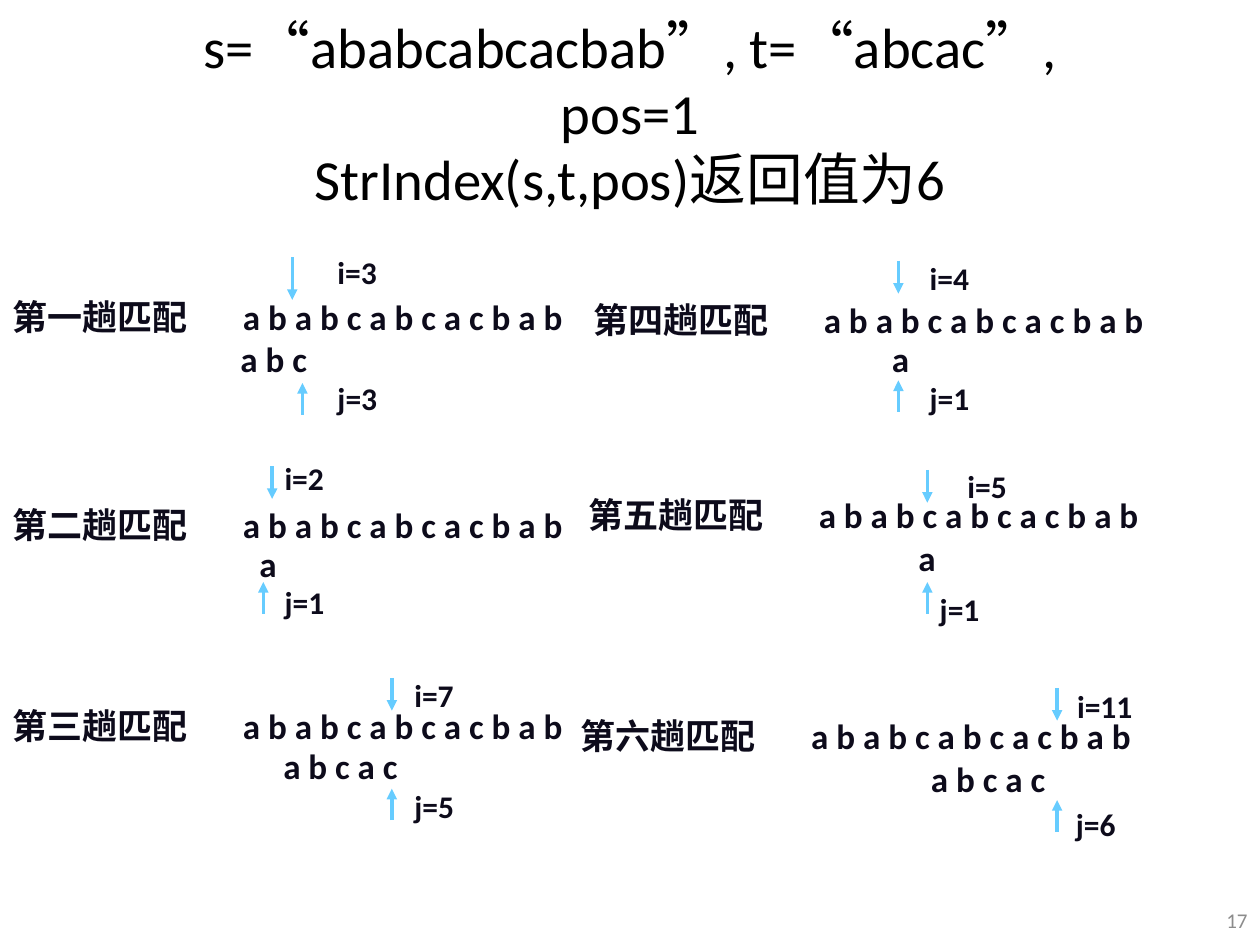
import dataclasses

import pptx
import pptx.dml.color
import pptx.enum.dml
import pptx.enum.lang
import pptx.enum.shapes
import pptx.enum.text
import pptx.oxml
import pptx.oxml.ns
import pptx.util

ALIGN = pptx.enum.text.PP_ALIGN
ANCHOR = pptx.enum.text.MSO_ANCHOR


@dataclasses.dataclass(frozen=True)
class Theme:
    font: str = "Calibri"
    title_color: str = "000000"
    ink: str = "0D0B1B"
    arrow: str = "66CCFF"
    muted: str = "8C8C8C"
    title_size: float = 32.4
    letter_size: float = 20
    index_size: float = 18
    number_size: float = 12
    arrow_width: float = 2


@dataclasses.dataclass(frozen=True)
class MatchPass:
    label: str
    row: tuple
    pattern: str
    pattern_at: tuple
    i: int
    i_at: tuple
    i_arrow: tuple
    j: int
    j_at: tuple
    j_arrow: tuple
    i_length: float = 0.26


TEXT = "a b a b c a b c a c b a b"
PASSES = [
    MatchPass("第一趟匹配", (0, 2.3), "a b c", (1.81, 2.63),
              3, (2.58, 1.96), (2.32, 2.04), 3, (2.58, 2.96), (2.4, 3.04), 0.34),
    MatchPass("第二趟匹配", (0, 3.95), "a", (1.96, 4.26),
              2, (2.16, 3.59), (2.16, 3.7), 1, (2.16, 4.58), (2.09, 4.62)),
    MatchPass("第三趟匹配", (0, 5.54), "a b c a c", (2.15, 5.86),
              7, (3.19, 5.32), (3.11, 5.38), 5, (3.19, 6.2), (3.11, 6.26)),
    MatchPass("第四趟匹配", (4.61, 2.32), "a", (6.98, 2.63),
              4, (7.28, 2.01), (7.13, 2.07), 1, (7.28, 2.96), (7.13, 3.02)),
    MatchPass("第五趟匹配", (4.57, 3.87), "a", (7.19, 4.21),
              5, (7.58, 3.66), (7.36, 3.73), 1, (7.36, 4.63), (7.36, 4.62)),
    MatchPass("第六趟匹配", (4.51, 5.62), "a b c a c", (7.29, 5.96),
              11, (8.45, 5.4), (8.39, 5.46), 6, (8.44, 6.34), (8.39, 6.35)),
]


def write(paragraph, text, *, theme, size, color, bold=False, align=ALIGN.LEFT,
          language=None):
    paragraph.alignment = align
    for index, line in enumerate(text.split("\n")):
        if index:
            paragraph.add_line_break()
        span = paragraph.add_run()
        span.text = line
        span.font.name = theme.font
        span.font.size = pptx.util.Pt(size)
        span.font.bold = bold
        span.font.color.rgb = pptx.dml.color.RGBColor.from_string(color)
        if language is not None:
            span.font.language_id = language


class SlideBuilder:
    COLUMNS = 10
    ROWS = 7.5

    def __init__(self, deck, theme):
        self.deck = deck
        self.theme = theme
        self.slide = deck.slides.add_slide(deck.slide_layouts[5])

    def x(self, columns):
        return round(self.deck.slide_width * columns / self.COLUMNS)

    def y(self, rows):
        return round(self.deck.slide_height * rows / self.ROWS)

    def title(self, text, left, top, width, height, inset):
        box = self.slide.shapes.title
        box.left, box.top = self.x(left), self.y(top)
        box.width, box.height = self.x(width), self.y(height)
        frame = box.text_frame
        frame.word_wrap = True
        frame.auto_size = pptx.enum.text.MSO_AUTO_SIZE.NONE
        frame.vertical_anchor = ANCHOR.MIDDLE
        frame.margin_left = frame.margin_right = self.x(inset)
        para = frame.paragraphs[0]
        para.line_spacing = 0.97
        write(para, text, theme=self.theme, size=self.theme.title_size,
              color=self.theme.title_color, align=ALIGN.CENTER,
              language=pptx.enum.lang.MSO_LANGUAGE_ID.SIMPLIFIED_CHINESE)

    def text(self, shapes, text, at, width, height, *, size, color, bold=True,
             align=ALIGN.LEFT, anchor=ANCHOR.TOP, tab=None):
        box = shapes.add_textbox(self.x(at[0]), self.y(at[1]),
                                 self.x(width), self.y(height))
        frame = box.text_frame
        frame.word_wrap = True
        frame.vertical_anchor = anchor
        para = frame.paragraphs[0]
        if tab is not None:
            stops = pptx.oxml.parse_xml(
                f'<a:tabLst {pptx.oxml.ns.nsdecls("a")}>'
                f'<a:tab pos="{self.x(tab)}" algn="l"/></a:tabLst>')
            para._p.get_or_add_pPr().append(stops)
        write(para, text, theme=self.theme, size=size, color=color, bold=bold,
              align=align)

    def arrow(self, shapes, column, start, end):
        line = shapes.add_connector(
            pptx.enum.shapes.MSO_CONNECTOR.STRAIGHT,
            self.x(column), self.y(start), self.x(column), self.y(end))
        line.line.color.rgb = pptx.dml.color.RGBColor.from_string(self.theme.arrow)
        line.line.width = pptx.util.Pt(self.theme.arrow_width)
        names = pptx.oxml.ns.nsdecls("a")
        line.line._get_or_add_ln().append(
            pptx.oxml.parse_xml(f'<a:tailEnd {names} type="triangle"/>'))
        line._element.spPr.append(pptx.oxml.parse_xml(f"<a:effectLst {names}/>"))

    def match_pass(self, step):
        shapes = self.slide.shapes.add_group_shape().shapes
        letters = {"size": self.theme.letter_size, "color": self.theme.ink}
        indices = {"size": self.theme.index_size, "color": self.theme.ink}
        self.text(shapes, f"{step.label}\t{TEXT}", step.row, 6.32, 0.43,
                  tab=1.83, **letters)
        self.text(shapes, step.pattern, step.pattern_at, 1.5, 0.43, **letters)
        self.text(shapes, f"i={step.i}", step.i_at, 0.88, 0.4, **indices)
        self.text(shapes, f"j={step.j}", step.j_at, 0.88, 0.4, **indices)
        column, start = step.i_arrow
        self.arrow(shapes, column, start, start + step.i_length)
        column, end = step.j_arrow
        self.arrow(shapes, column, end + 0.25, end)

    def page_number(self, number):
        self.text(self.slide.shapes, str(number), (9.57, 7.1), 0.43, 0.4,
                  size=self.theme.number_size, color=self.theme.muted,
                  bold=False, align=ALIGN.RIGHT, anchor=ANCHOR.MIDDLE)


def main():
    deck = pptx.Presentation()
    deck.slide_width = pptx.util.Inches(SlideBuilder.COLUMNS)
    deck.slide_height = pptx.util.Inches(SlideBuilder.ROWS)
    page = SlideBuilder(deck, Theme())
    page.title("s=“ababcabcacbab”, t=“abcac”, pos=1\nStrIndex(s,t,pos)返回值为6",
               0.5, 0.27, 9, 1.28, inset=0.65)
    for step in PASSES:
        page.match_pass(step)
    page.page_number(17)
    deck.save("out.pptx")


if __name__ == "__main__":
    main()
